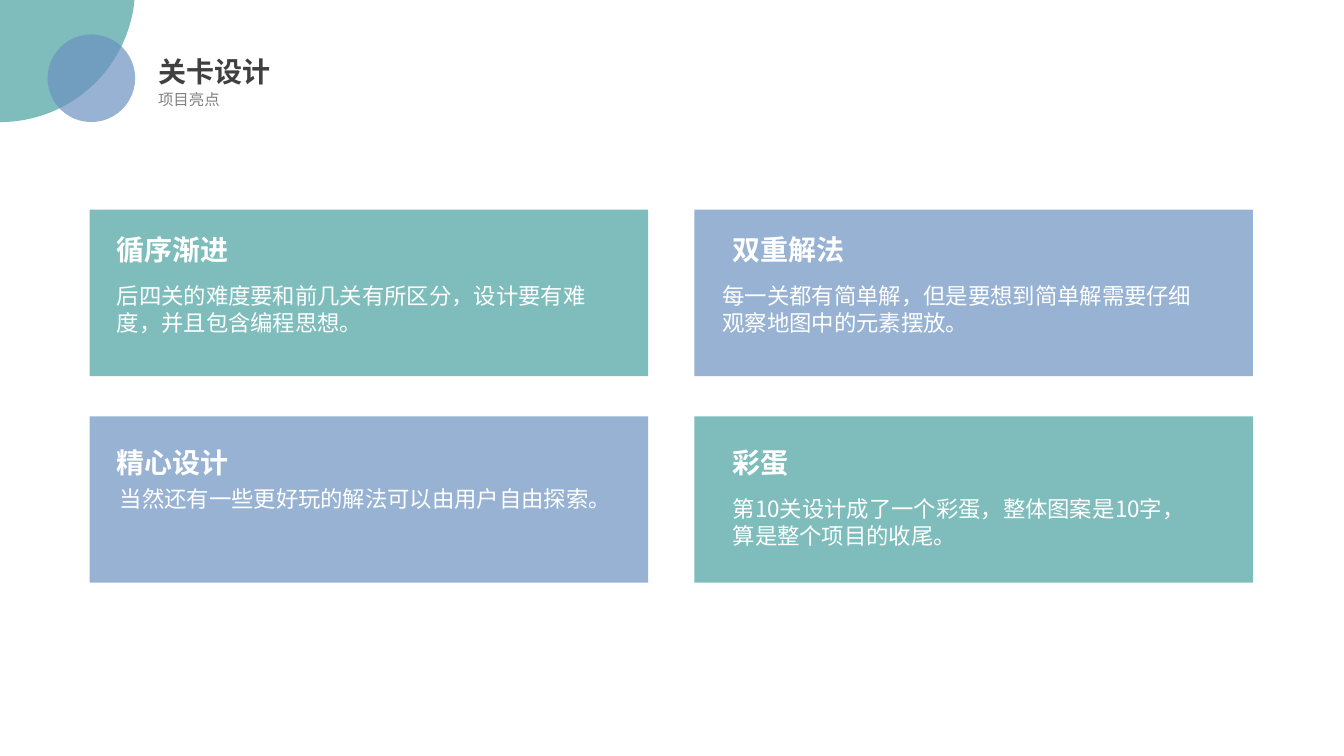
import dataclasses
import typing

import pptx
import pptx.dml.color
import pptx.enum.shapes
import pptx.enum.text
import pptx.oxml
import pptx.oxml.ns
import pptx.util

Pt = pptx.util.Pt
Kind = pptx.enum.shapes.MSO_SHAPE


@dataclasses.dataclass(frozen=True)
class Theme:
    teal: str = "48A2A0"
    blue: str = "6C92C0"
    dark: str = "404040"
    grey: str = "808080"
    white: str = "FFFFFF"
    font: str = "Noto Sans CJK SC"
    head: float = 20
    body: float = 16
    small: float = 11
    alpha: int = 70


class Spot(typing.NamedTuple):
    left: float
    top: float


@dataclasses.dataclass(frozen=True)
class Card:
    col: int
    row: int
    fill: str
    title: str
    body: str
    head_at: Spot
    body_at: Spot


THEME = Theme()
GRID = Spot(64.1, 149.8)
STEP = Spot(432, 147.6)
CARD_W, CARD_H = 398.9, 118.8
BODY_W = 352.1
LINE_H = 31.7

CARDS = [
    Card(0, 0, THEME.teal, "循序渐进",
         "后四关的难度要和前几关有所区分，设计要有难度，并且包含编程思想。",
         Spot(12.2, 13), Spot(12.2, 48.2)),
    Card(1, 0, THEME.blue, "双重解法",
         "每一关都有简单解，但是要想到简单解需要仔细观察地图中的元素摆放。",
         Spot(20.2, 13), Spot(13, 48.2)),
    Card(0, 1, THEME.blue, "精心设计",
         "当然还有一些更好玩的解法可以由用户自由探索。",
         Spot(12.2, 17.3), Spot(14.4, 45.3)),
    Card(1, 1, THEME.teal, "彩蛋",
         "第10关设计成了一个彩蛋，整体图案是10字，算是整个项目的收尾。",
         Spot(20.2, 17.3), Spot(20.2, 52.5)),
]


def add_block(slide, kind, left: float, top: float, width: float,
              height: float, fill: str) -> None:
    """Draw a see-through shape without outline."""
    shape = slide.shapes.add_shape(kind, Pt(left), Pt(top), Pt(width), Pt(height))
    shape.shadow.inherit = False
    shape.line.fill.background()
    shape.fill.solid()
    shape.fill.fore_color.rgb = pptx.dml.color.RGBColor.from_string(fill)
    tint = shape.fill._xPr.find(".//" + pptx.oxml.ns.qn("a:srgbClr"))
    alpha = pptx.oxml.parse_xml(
        f'<a:alpha {pptx.oxml.ns.nsdecls("a")} val="{THEME.alpha * 1000}"/>')
    tint.append(alpha)


def add_text(slide, text: str, left: float, top: float, width: float,
             height: float = LINE_H, *, size: float, color: str,
             bold: bool = False, wrap: bool = False) -> None:
    box = slide.shapes.add_textbox(Pt(left), Pt(top), Pt(width), Pt(height))
    frame = box.text_frame
    frame.word_wrap = wrap
    frame.auto_size = pptx.enum.text.MSO_AUTO_SIZE.SHAPE_TO_FIT_TEXT
    run = frame.paragraphs[0].add_run()
    run.text = text
    run.font.size = Pt(size)
    run.font.bold = bold
    run.font.color.rgb = pptx.dml.color.RGBColor.from_string(color)
    run.font.name = THEME.font
    asian = pptx.oxml.parse_xml(
        f'<a:ea {pptx.oxml.ns.nsdecls("a")} typeface="{THEME.font}"/>')
    run.font._element.find(pptx.oxml.ns.qn("a:latin")).addnext(asian)


def add_head(slide) -> None:
    add_block(slide, Kind.OVAL, -96.5, -105.8, 193, 193, THEME.teal)
    add_block(slide, Kind.OVAL, 34, 24.6, 62.6, 62.6, THEME.blue)
    add_text(slide, "关卡设计", 105.8, 35.3, 95,
             size=THEME.head, color=THEME.dark, bold=True)
    add_text(slide, "项目亮点", 105.8, 60.5, 59, 20.9,
             size=THEME.small, color=THEME.grey)


def add_card(slide, card: Card) -> None:
    left = GRID.left + card.col * STEP.left
    top = GRID.top + card.row * STEP.top
    add_block(slide, Kind.RECTANGLE, left, top, CARD_W, CARD_H, card.fill)
    add_text(slide, card.body, left + card.body_at.left, top + card.body_at.top,
             BODY_W, size=THEME.body, color=THEME.white, wrap=True)
    add_text(slide, card.title, left + card.head_at.left, top + card.head_at.top,
             len(card.title) * THEME.head + 14.4,
             size=THEME.head, color=THEME.white, bold=True)


def main() -> None:
    deck = pptx.Presentation()
    deck.slide_width, deck.slide_height = Pt(960), Pt(540)
    slide = deck.slides.add_slide(deck.slide_layouts[6])
    add_head(slide)
    for card in CARDS:
        add_card(slide, card)
    deck.save("out.pptx")


if __name__ == "__main__":
    main()
